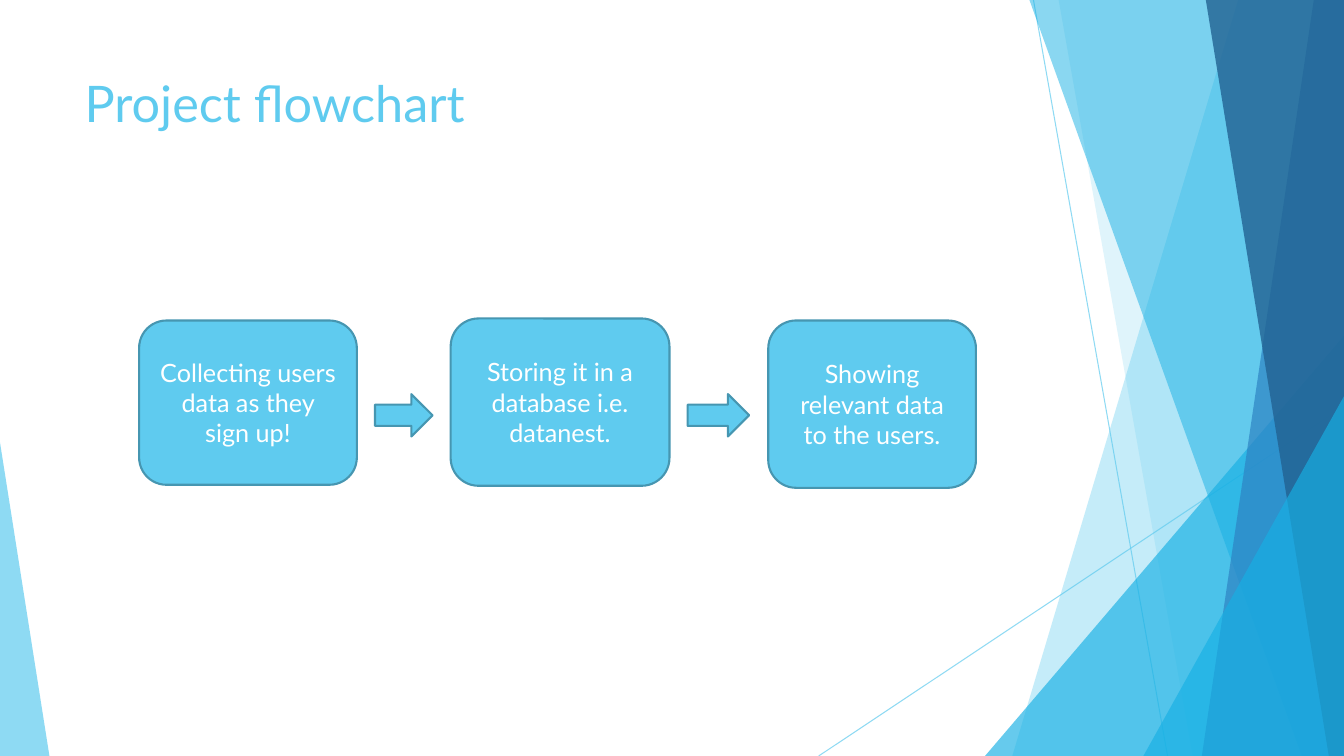
import pptx
import pptx.util
import pptx.dml.color
import pptx.enum.shapes
import pptx.enum.text
import pptx.oxml.ns
import lxml.etree

Inches, Pt = pptx.util.Inches, pptx.util.Pt
SHAPE = pptx.enum.shapes.MSO_SHAPE
COLOURS = {"sky": "5FCBEF", "cyan": "17B0E4", "blue": "2E83C3",
           "navy": "226292", "outline": "4696B1", "white": "FFFFFF"}
WIDTH, HEIGHT = 13.33, 7.5


def paint(format_part, colour, opacity=100):
    """Give a fill or a line a solid colour, with opacity in percent."""
    fill = format_part.fill if hasattr(format_part, "fill") else format_part
    fill.solid()
    fill.fore_color.rgb = pptx.dml.color.RGBColor.from_string(COLOURS[colour])
    if opacity < 100:
        solid = fill._xPr.find(pptx.oxml.ns.qn("a:solidFill"))
        lxml.etree.SubElement(solid[0], pptx.oxml.ns.qn("a:alpha"), val=str(opacity * 1000))


def add_block(preset, left, top, width, height):
    """Add an outlined sky-coloured shape of the flowchart."""
    block = page.shapes.add_shape(preset, Inches(left), Inches(top), Inches(width), Inches(height))
    block.shadow.inherit = False
    paint(block.fill, "sky")
    paint(block.line, "outline")
    block.line.width = Pt(1.5)
    return block


deck = pptx.Presentation()
deck.slide_width, deck.slide_height = Inches(WIDTH), Inches(HEIGHT)
page = deck.slides.add_slide(deck.slide_layouts[6])

# Thin lines behind the facets
for x1, y1, x2, y2 in [(10.25, 0, 11.58, HEIGHT), (WIDTH, 4.03, 8.12, HEIGHT)]:
    line = page.shapes.add_connector(pptx.enum.shapes.MSO_CONNECTOR.STRAIGHT,
                                     Inches(x1), Inches(y1), Inches(x2), Inches(y2))
    paint(line.line, "sky", 70)
    line.line.width = Pt(0.75)
    lxml.etree.SubElement(line._element.spPr, pptx.oxml.ns.qn("a:effectLst"))

# Bands reach the right edge: (top x, bottom x). Triangles: (left, top, width, apex).
facets = [
    ((12.28, 10.04), "sky", 36),
    ((10.5, 11.83), "sky", 20),
    ((9.77, 3.33, 3.56, 1), "cyan", 66),
    ((10.21, 12.91), "cyan", 50),
    ((13.03, 11.92), "blue", 70),
    ((11.96, 13.18), "navy", 80),
    ((11.34, 3.93, 1.99, 1), "cyan", 66),
    ((0, 4.39, 0.49, 0), "sky", 70),
]
for outline, colour, opacity in facets:
    if len(outline) == 2:
        top_x, bottom_x = outline
        corners = [(WIDTH, 0), (WIDTH, HEIGHT), (bottom_x, HEIGHT)]
        builder = page.shapes.build_freeform(Inches(top_x), 0)
        builder.add_line_segments([(Inches(x), Inches(y)) for x, y in corners])
        facet = builder.convert_to_shape()
    else:
        left, top, width, apex = outline
        facet = page.shapes.add_shape(SHAPE.ISOSCELES_TRIANGLE, Inches(left), Inches(top),
                                      Inches(width), Inches(HEIGHT - top))
        facet.adjustments[0] = apex
    facet.shadow.inherit = False
    facet.line.fill.background()
    paint(facet.fill, colour, opacity)

title = page.shapes.add_textbox(Inches(0.74), Inches(0.67), Inches(9.4), Inches(1.44))
title.text_frame.word_wrap = True
texts = [(title, "Project flowchart", 36, "sky")]

steps = [
    (1.38, 3.18, 2.16, 1.63, "Collecting users data as they sign up!"),
    (4.47, 3.16, 2.17, 1.66, "Storing it in a database i.e. datanest."),
    (7.62, 3.18, 2.06, 1.66, "Showing relevant data to the users."),
]
for left, top, width, height, words in steps:
    step = add_block(SHAPE.ROUNDED_RECTANGLE, left, top, width, height)
    step.text_frame.word_wrap = True
    step.text_frame.vertical_anchor = pptx.enum.text.MSO_ANCHOR.MIDDLE
    step.text_frame.paragraphs[0].alignment = pptx.enum.text.PP_ALIGN.CENTER
    texts.append((step, words, 18, "white"))

for box, words, size, colour in texts:
    para = box.text_frame.paragraphs[0]
    para.text = words
    para.font.name = "Lato"
    para.font.size = Pt(size)
    paint(para.font, colour)

for left, width in [(3.72, 0.57), (6.82, 0.61)]:
    add_block(SHAPE.RIGHT_ARROW, left, 3.91, width, 0.42)

deck.save("out.pptx")
